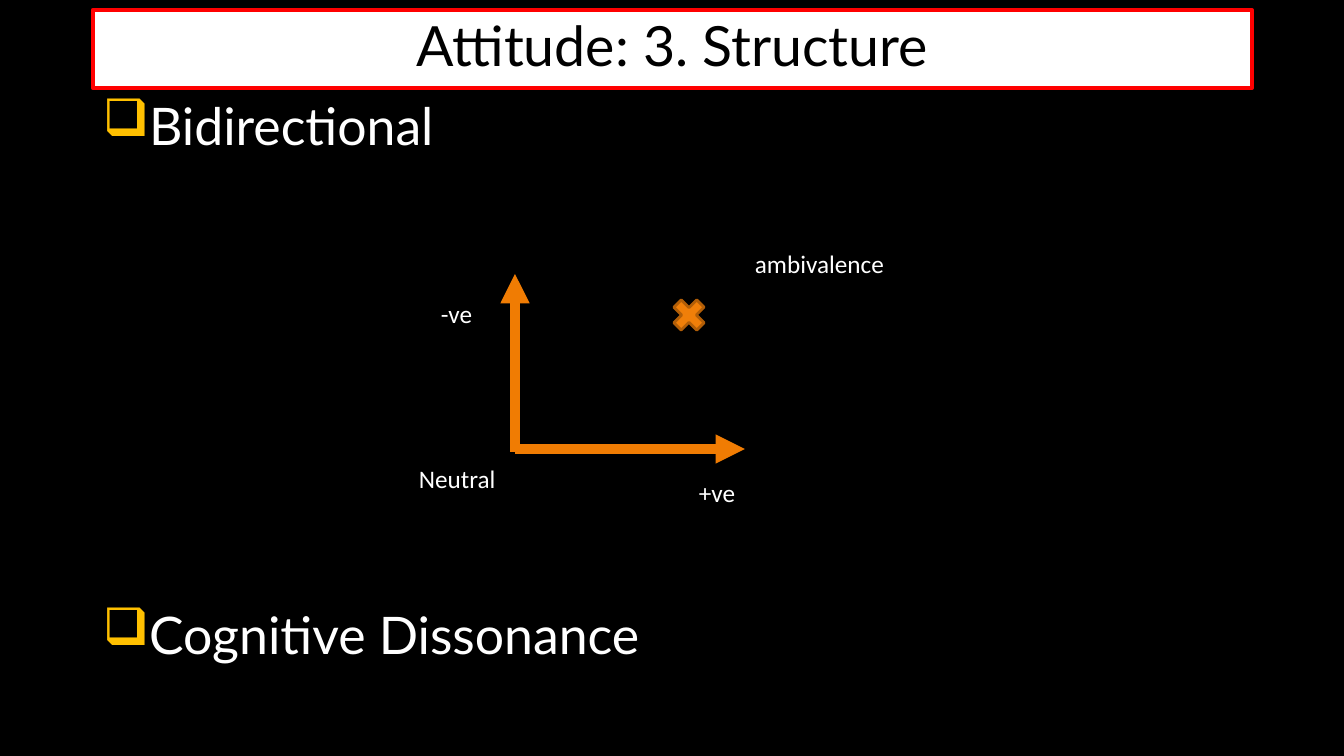
from dataclasses import dataclass

from lxml.etree import SubElement
from pptx import Presentation
from pptx.dml.color import RGBColor
from pptx.enum.shapes import MSO_CONNECTOR as Connector, MSO_SHAPE as Shape
from pptx.enum.text import MSO_ANCHOR as Anchor, MSO_AUTO_SIZE as AutoSize, PP_ALIGN as Align
from pptx.oxml.ns import qn
from pptx.util import Emu, Pt


@dataclass(frozen=True)
class Theme:
    """Colours, fonts and point sizes of the slide."""
    black: str = "000000"
    white: str = "FFFFFF"
    frame: str = "FF0000"
    bullet: str = "FFC000"
    axis: str = "F07C03"
    cross: str = "F07F09"
    cross_edge: str = "B25E07"
    main_font: str = "Lato"
    label_font: str = "Calibri"
    title_size: float = 39.6
    body_size: float = 37
    label_size: float = 18


THEME = Theme()
EMU_PER_PX = 914400 / 100.8


def px(*lengths):
    """Turn pixel lengths into EMU."""
    return [Emu(round(length * EMU_PER_PX)) for length in lengths]


def rgb(code):
    """Return the colour for a hex code."""
    return RGBColor.from_string(code)


def write(para, text, font, size, color):
    """Put styled text into a paragraph."""
    para.text = text
    para.font.name = font
    para.font.size = Pt(size)
    para.font.color.rgb = rgb(color)


def add_figure(slide, kind, frame, fill, edge, width):
    """Add a filled and outlined preset shape."""
    shape = slide.shapes.add_shape(kind, *px(*frame))
    shape.shadow.inherit = False
    shape.fill.solid()
    shape.fill.fore_color.rgb = rgb(fill)
    shape.line.color.rgb = rgb(edge)
    shape.line.width = Pt(width)
    return shape


def add_title(slide, text, frame):
    """Add the framed title bar."""
    bar = add_figure(slide, Shape.RECTANGLE, frame, THEME.white, THEME.frame, 3)
    bar.text_frame.word_wrap = True
    bar.text_frame.vertical_anchor = Anchor.MIDDLE
    para = bar.text_frame.paragraphs[0]
    para.alignment = Align.CENTER
    para.line_spacing = 0.9
    write(para, text, THEME.main_font, THEME.title_size, THEME.black)


def add_bullet(para, indent):
    """Give a paragraph a coloured box bullet and hanging indent."""
    props = para._p.get_or_add_pPr()
    props.set("marL", str(indent))
    props.set("indent", str(-indent))
    color = SubElement(props, qn("a:buClr"))
    SubElement(color, qn("a:srgbClr"), val=THEME.bullet)
    SubElement(props, qn("a:buChar"), char="❑")


def add_points(slide, points, frame):
    """Add bulleted points, each with its space before in points."""
    box = slide.shapes.add_textbox(*px(*frame))
    body = box.text_frame
    body.word_wrap = True
    for index, (text, space) in enumerate(points):
        para = body.add_paragraph() if index else body.paragraphs[0]
        para.line_spacing = 0.8
        para.space_before = Pt(space)
        add_bullet(para, px(25)[0])
        write(para, text, THEME.main_font, THEME.body_size, THEME.white)


def add_axis(slide, start, end):
    """Add a thick axis with an arrowhead at its end."""
    axis = slide.shapes.add_connector(Connector.STRAIGHT, *px(*start, *end))
    axis.line.color.rgb = rgb(THEME.axis)
    axis.line.width = Pt(7)
    SubElement(axis.line._get_or_add_ln(), qn("a:tailEnd"), type="triangle")
    SubElement(axis._element.spPr, qn("a:effectLst"))


def add_label(slide, text, left, top, width):
    """Add a small diagram label."""
    box = slide.shapes.add_textbox(*px(left, top, width, 40))
    box.text_frame.word_wrap = True
    box.text_frame.auto_size = AutoSize.SHAPE_TO_FIT_TEXT
    write(box.text_frame.paragraphs[0], text, THEME.label_font, THEME.label_size, THEME.white)


def main():
    """Build and save the attitude structure slide."""
    deck = Presentation()
    deck.slide_width, deck.slide_height = px(1344, 756)
    page = deck.slides.add_slide(deck.slide_layouts[6])
    page.background.fill.solid()
    page.background.fill.fore_color.rgb = rgb(THEME.black)

    points = [("Bidirectional", 10), ("Cognitive Dissonance", 328)]
    add_points(page, points, (93, 101, 1159, 581))
    add_title(page, "Attitude: 3. Structure", (93, 10, 1159, 78))
    add_axis(page, (515, 452), (515, 274))
    add_axis(page, (515, 449), (745, 449))
    add_figure(page, Shape.MATH_MULTIPLY, (667, 293, 44, 44), THEME.cross, THEME.cross_edge, 2)
    for label in (
        ("-ve", 431, 293, 99),
        ("+ve", 689, 472, 99),
        ("ambivalence", 745, 243, 227),
        ("Neutral", 409, 458, 148),
    ):
        add_label(page, *label)
    deck.save("out.pptx")


if __name__ == "__main__":
    main()
